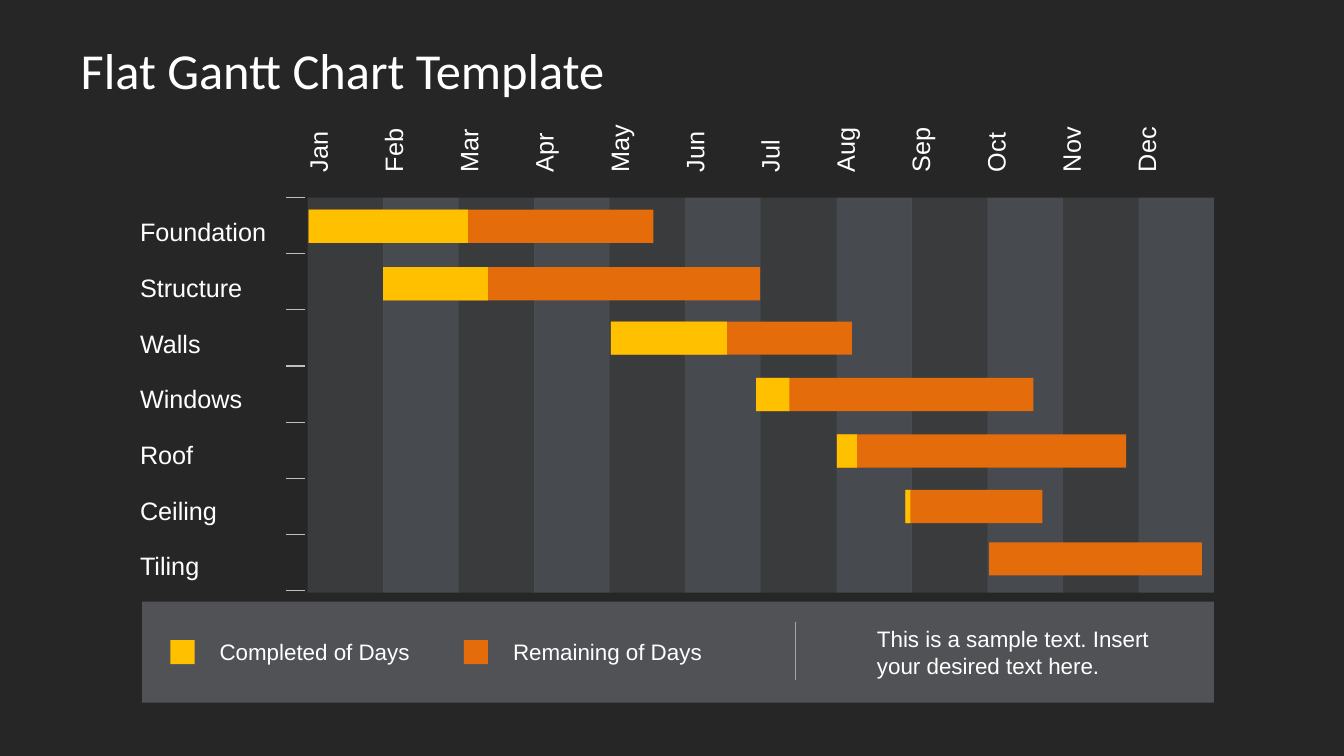
from lxml.etree import SubElement
from pptx import Presentation
from pptx.dml.color import RGBColor
from pptx.enum.shapes import MSO_CONNECTOR, MSO_SHAPE
from pptx.enum.text import MSO_ANCHOR, MSO_AUTO_SIZE, PP_ALIGN
from pptx.oxml.ns import qn
from pptx.util import Inches, Pt

BACKGROUND = RGBColor(0x26, 0x26, 0x26)
WHITE = RGBColor(0xFF, 0xFF, 0xFF)
PALE = RGBColor(0xDC, 0xE6, 0xF2)
PALE_BLUE = RGBColor(0xC6, 0xD9, 0xF1)
COMPLETED = RGBColor(0xFF, 0xC0, 0x00)
REMAINING = RGBColor(0xE4, 0x6C, 0x0A)
TICK_GREY = RGBColor(0xBF, 0xBF, 0xBF)
DIVIDER_GREY = RGBColor(0xA6, 0xA6, 0xA6)

MONTHS = ["Jan", "Feb", "Mar", "Apr", "May", "Jun",
          "Jul", "Aug", "Sep", "Oct", "Nov", "Dec"]
TASKS = [
    ("Foundation", 3.06, 2.08, 1.58, 3.42),
    ("Structure", 3.8, 2.65, 1.04, 3.74),
    ("Walls", 6.06, 3.19, 1.15, 2.39),
    ("Windows", 7.5, 3.75, 0.33, 2.75),
    ("Roof", 8.3, 4.31, 0.2, 2.87),
    ("Ceiling", 8.98, 4.86, 0.05, 1.36),
    ("Tiling", 9.81, 5.38, 0, 2.11),
]
BAR_HEIGHT = 0.33


def add_block(shapes, box, color, alpha=None):
    """Add a borderless rectangle, with opacity in percent if given."""
    block = shapes.add_shape(MSO_SHAPE.RECTANGLE, *map(Inches, box))
    block.shadow.inherit = False
    block.line.fill.background()
    block.fill.solid()
    block.fill.fore_color.rgb = color
    if alpha is not None:
        srgb = block.fill._xPr.find(".//" + qn("a:srgbClr"))
        SubElement(srgb, qn("a:alpha"), val=str(alpha * 1000))


def add_rule(shapes, start, end, color):
    """Add a thin straight line between two points."""
    rule = shapes.add_connector(MSO_CONNECTOR.STRAIGHT, *map(Inches, start + end))
    rule.line.color.rgb = color
    rule.line.width = Pt(0.75)
    SubElement(rule._element.spPr, qn("a:effectLst"))


def write(frame, lines, size, font="Arial", spacing=None):
    """Write one white, left-aligned paragraph for each line."""
    look = {"name": font, "size": Pt(size)}
    for index, line in enumerate(lines):
        paragraph = frame.paragraphs[0] if index == 0 else frame.add_paragraph()
        paragraph.text = line
        paragraph.alignment = PP_ALIGN.LEFT
        paragraph.line_spacing = spacing
        for key, value in look.items():
            setattr(paragraph.font, key, value)
        paragraph.font.color.rgb = WHITE


def add_text(shapes, box, lines, size, spacing=None, wrap=True):
    """Add a text box that grows with its lines."""
    text_box = shapes.add_textbox(*map(Inches, box))
    text_box.text_frame.word_wrap = wrap
    text_box.text_frame.auto_size = MSO_AUTO_SIZE.SHAPE_TO_FIT_TEXT
    write(text_box.text_frame, lines, size, spacing=spacing)
    return text_box


def add_title(slide, box, text):
    """Place and fill the title placeholder."""
    title = slide.shapes.title
    for side, length in zip(("left", "top", "width", "height"), box):
        setattr(title, side, Inches(length))
    layout = {
        "margin_left": Inches(0.13), "margin_right": Inches(0.13),
        "margin_top": Inches(0.07), "margin_bottom": Inches(0.07),
        "vertical_anchor": MSO_ANCHOR.MIDDLE, "word_wrap": True,
        "auto_size": MSO_AUTO_SIZE.NONE,
    }
    for key, value in layout.items():
        setattr(title.text_frame, key, value)
    write(title.text_frame, [text], 36, "Calibri")


def add_month_grid(slide, box):
    """Draw the month stripes with their upright names above."""
    left, top, width, height = box
    stripe = width / len(MONTHS)
    for index in range(len(MONTHS)):
        color, alpha = ((PALE, 11), (PALE_BLUE, 21))[index % 2]
        add_block(slide.shapes, (left + index * stripe, top, stripe, height),
                  color, alpha)
    names = add_text(slide.shapes, (left + 3.67, top - 5.09, 0.72, 9.15),
                     MONTHS, 18, 2.49, wrap=False)
    names.rotation = 270


def add_task_axis(slide, box):
    """List the task names beside evenly spaced tick marks."""
    left, top, width, height = box
    add_text(slide.shapes, (left, top - 0.11, 2.42, 4),
             [task[0] for task in TASKS], 18, 1.84)
    ticks = slide.shapes.add_group_shape().shapes
    for index in range(len(TASKS) + 1):
        y = top + index * height / len(TASKS)
        add_rule(ticks, (left + width, y), (left + width - 0.19, y), TICK_GREY)


def add_task_bars(slide):
    """Draw each task's full bar with its completed part on top."""
    for _, left, top, done, total in TASKS:
        bar = slide.shapes.add_group_shape().shapes
        add_block(bar, (left, top, total, BAR_HEIGHT), REMAINING)
        if done:
            add_block(bar, (left, top, done, BAR_HEIGHT), COMPLETED)


def add_legend(slide, box):
    """Draw the legend panel with its keys, divider and note."""
    left, top, width, height = box
    add_block(slide.shapes, box, PALE, 23)
    legend = slide.shapes.add_group_shape().shapes
    keys = [("Completed of Days", COMPLETED), ("Remaining of Days", REMAINING)]
    for index, (label, color) in enumerate(keys):
        key_left = left + 0.28 + index * 2.91
        add_block(legend, (key_left, top + 0.38, 0.24, 0.24), color)
        add_text(legend, (key_left + 0.39, top + 0.31, 2.17, 0.37), [label], 16)
    divider = left + 6.48
    add_rule(legend, (divider, top + 0.2), (divider, top + height - 0.22),
             DIVIDER_GREY)
    add_text(legend, (left + 7.19, top + 0.18, 3.17, 0.64),
             ["This is a sample text. Insert your desired text here."], 16)


def main():
    """Build the Gantt chart slide."""
    deck = Presentation()
    deck.slide_width, deck.slide_height = Inches(13.33), Inches(7.5)
    slide = deck.slides.add_slide(deck.slide_layouts[5])
    slide.background.fill.solid()
    slide.background.fill.fore_color.rgb = BACKGROUND
    add_title(slide, (0.67, 0.3, 12, 0.78), "Flat Gantt Chart Template")
    add_month_grid(slide, (3.05, 1.96, 8.99, 3.92))
    add_task_axis(slide, (1.29, 1.96, 1.74, 3.9))
    add_task_bars(slide)
    add_legend(slide, (1.41, 5.97, 10.63, 1))
    deck.save("out.pptx")


if __name__ == "__main__":
    main()
